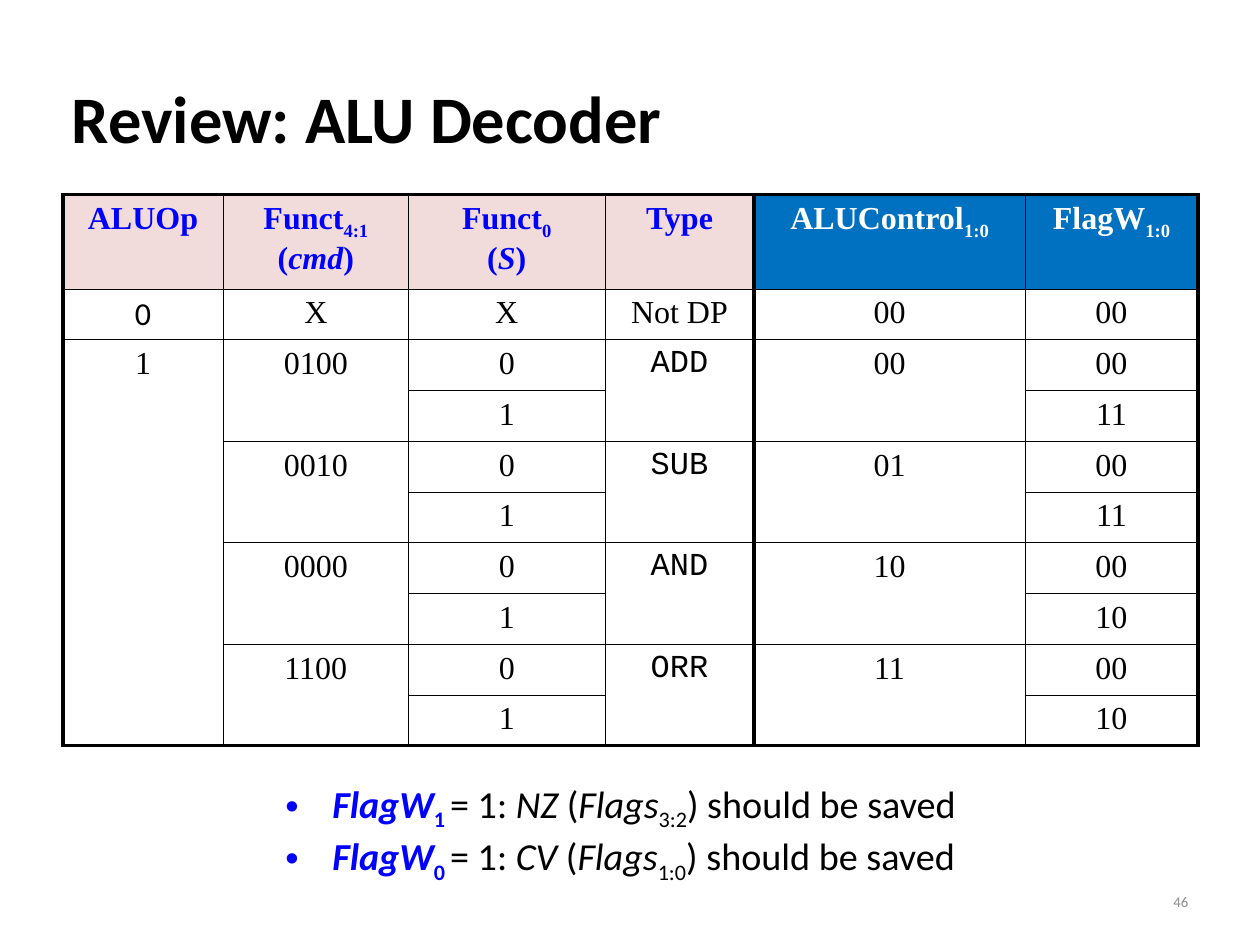
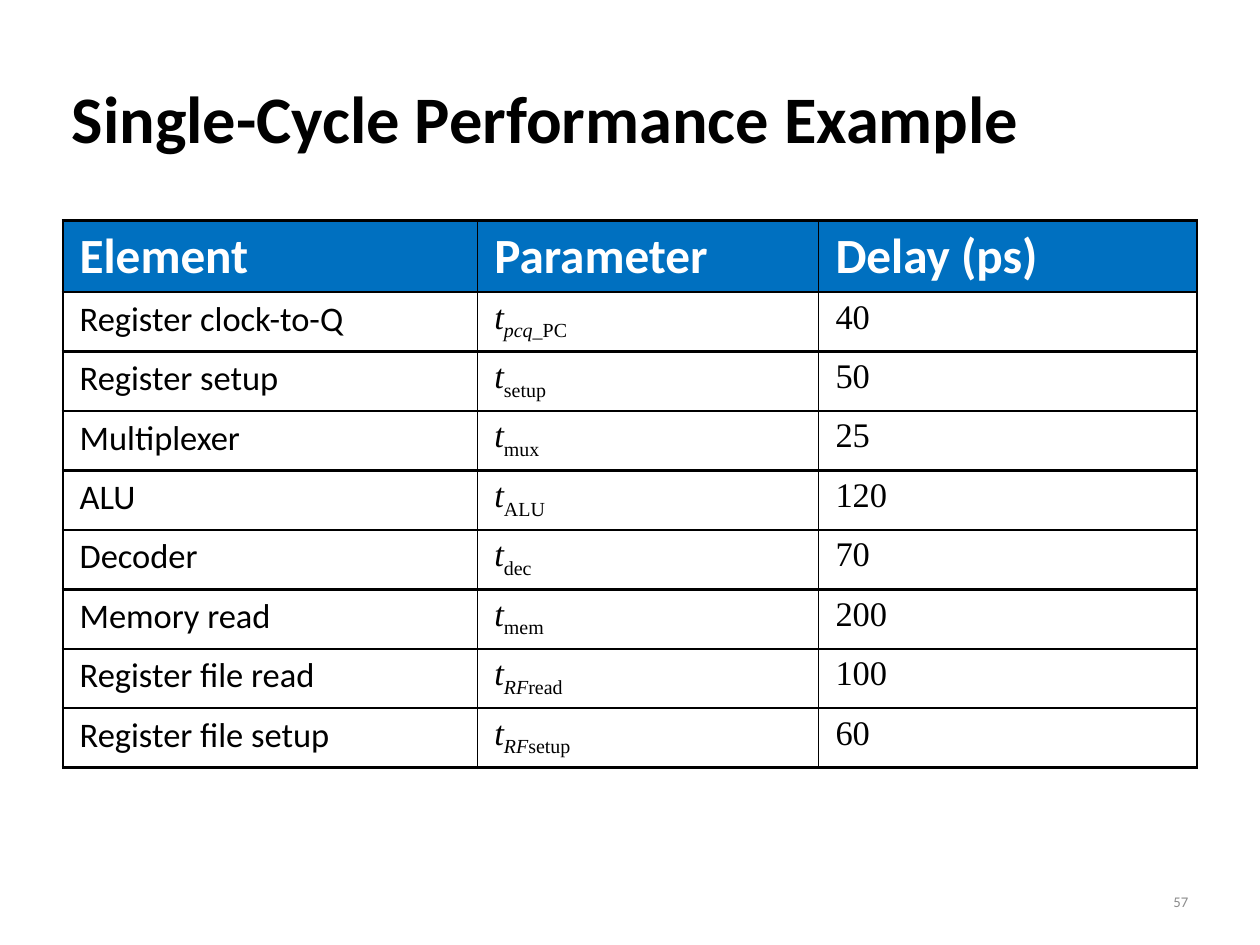
from lxml import etree
from pptx import Presentation
from pptx.dml.color import RGBColor
from pptx.enum.text import MSO_ANCHOR as Anchor, MSO_AUTO_SIZE as AutoSize, PP_ALIGN as Align
from pptx.oxml.ns import qn
from pptx.util import Inches, Pt

WIDTH, HEIGHT = 14.22, 10.67
MARGIN = 0.71
CONTENT_WIDTH = WIDTH - 2 * MARGIN
SANS, SERIF, MONO = "Calibri", "Times New Roman", "Courier New"
BLACK, WHITE, GREY = "000000", "FFFFFF", "8C8C8C"
BLUE, PINK, BAND = "0000FF", "F2DCDB", "0070C0"
NO_GRID_STYLE = "{2D5ABB26-0587-4C30-8999-92F81FD0307C}"

# Text is a string, or a list of spans (text, marks):
# i italic, s subscript, k blue bold, m monospaced, c sans serif.
# A cell with two lines is a tuple of texts; None continues the cell above.


def operation_rows(op, command, name, control, flags):
    """The two rows, S = 0 and S = 1, of one data-processing operation."""
    return [[op, command, "0", [(name, "m")], control, "00"],
            [None, None, "1", None, None, flags]]


DECODER = dict(
    top=2.2, columns=[1.81, 2.09, 2.22, 1.68, 3.06, 1.95], rows=[1] + [0.57] * 9,
    across=[3] + [1] * 9 + [3], down=[3, 1, 1, 1, 3, 1, 3],
    inset=0.16, align=Align.CENTER, size=26, fonts=[SERIF] * 6,
    head_size=26, head_font=SERIF,
    head_colors=[(PINK, BLUE)] * 4 + [(BAND, WHITE)] * 2,
    cells=[
        ["ALUOp",
         ([("Funct", ""), ("4:1", "s")], [("(", ""), ("cmd", "i"), (")", "")]),
         ([("Funct", ""), ("0", "s")], [("(", ""), ("S", "i"), (")", "")]),
         "Type",
         [("ALUControl", ""), ("1:0", "s")],
         [("FlagW", ""), ("1:0", "s")]],
        [[("0", "c")], "X", "X", "Not DP", "00", "00"],
        *operation_rows("1", "0100", "ADD", "00", "11"),
        *operation_rows(None, "0010", "SUB", "01", "11"),
        *operation_rows(None, "0000", "AND", "10", "10"),
        *operation_rows(None, "1100", "ORR", "11", "10"),
    ])

FLAG_NOTES = [
    [("FlagW", "ki"), (f"{bit} ", "ks"), ("= 1: ", ""), (names, "i"), (" (", ""),
     ("Flags", "i"), (span, "s"), (") should be saved", "")]
    for bit, names, span in [(1, "NZ", "3:2"), (0, "CV", "1:0")]]

DELAYS = [
    ("Register clock-to-Q", [("pcq", "is"), ("_PC", "s")], "40"),
    ("Register setup", [("setup", "s")], "50"),
    ("Multiplexer", [("mux", "s")], "25"),
    ("ALU", [("ALU", "s")], "120"),
    ("Decoder", [("dec", "s")], "70"),
    ("Memory read", [("mem", "s")], "200"),
    ("Register file read", [("RF", "is"), ("read", "s")], "100"),
    ("Register file setup", [("RF", "is"), ("setup", "s")], "60"),
]

PERFORMANCE = dict(
    top=2.49, columns=[4.68, 3.85, 4.27], rows=[0.81] + [0.62] * 6 + [0.64] * 2,
    across=[2.25] * 10, down=[2.25, 1, 1, 2.25],
    inset=0.19, align=Align.LEFT, size=28, fonts=[SANS, SERIF, SERIF],
    head_size=40, head_font=SANS, head_colors=[(BAND, WHITE)] * 3,
    cells=[["Element", "Parameter", "Delay (ps)"]]
    + [[element, [("t", "i"), *index], delay] for element, index, delay in DELAYS])


def rgb(color):
    return RGBColor.from_string(color)


def write(para, text, size, font=SANS, color=BLACK, bold=False, align=Align.LEFT):
    para.alignment = align
    for content, marks in [(text, "")] if isinstance(text, str) else text:
        span = para.add_run()
        span.text = content
        span.font.name = MONO if "m" in marks else SANS if "c" in marks else font
        span.font.size = Pt(size)
        span.font.bold = bold or "k" in marks
        span.font.italic = "i" in marks
        span.font.color.rgb = rgb(BLUE if "k" in marks else color)
        if "s" in marks:
            span.font._element.set("baseline", "-25000")


def set_border(cell, side, points):
    line = etree.SubElement(cell._tc.get_or_add_tcPr(), qn(f"a:ln{side}"), w=str(Pt(points)))
    fill = etree.SubElement(line, qn("a:solidFill"))
    etree.SubElement(fill, qn("a:srgbClr"), val=BLACK)


def add_grid(slide, top, columns, rows, across, down, inset, align, size, fonts,
             head_size, head_font, head_colors, cells):
    """Add a table; across and down hold the weight of every grid line."""
    frame = slide.shapes.add_table(len(rows), len(columns), Inches(MARGIN), Inches(top),
                                   Inches(CONTENT_WIDTH), Inches(sum(rows)))
    table = frame.table
    table._tbl.tblPr.find(qn("a:tableStyleId")).text = NO_GRID_STYLE
    for column, width in zip(table.columns, columns):
        column.width = Inches(width)
    for row, height in zip(table.rows, rows):
        row.height = Inches(height)

    for r, texts in enumerate(cells):
        for c, text in enumerate(texts):
            cell = table.cell(r, c)
            end = r + 1
            while text is not None and end < len(cells) and cells[end][c] is None:
                end += 1
            if end > r + 1:
                cell.merge(table.cell(end - 1, c))
            set_border(cell, "L", down[c])
            set_border(cell, "R", down[c + 1])
            if text is None:
                continue
            set_border(cell, "T", across[r])
            set_border(cell, "B", across[end])
            cell.margin_left = cell.margin_right = Inches(inset)
            cell.margin_top = cell.margin_bottom = Inches(0.07)
            if r == 0:
                fill, color = head_colors[c]
                cell.fill.solid()
                cell.fill.fore_color.rgb = rgb(fill)
                style = (head_size, head_font, color, True, align)
            else:
                cell.fill.background()
                style = (size, fonts[c], BLACK, False, align)
            lines = text if isinstance(text, tuple) else (text,)
            for i, line in enumerate(lines):
                body = cell.text_frame
                write(body.add_paragraph() if i else body.paragraphs[0], line, *style)


def add_box(slide, left, top, width, height):
    box = slide.shapes.add_textbox(Inches(left), Inches(top), Inches(width), Inches(height))
    box.text_frame.word_wrap = True
    return box.text_frame


def add_slide(deck, title, number):
    """Add a slide with the shared title and page number."""
    slide = deck.slides.add_slide(deck.slide_layouts[5])
    heading = slide.shapes.title
    heading.left, heading.top = Inches(MARGIN), Inches(0.43)
    heading.width, heading.height = Inches(CONTENT_WIDTH), Inches(1.78)
    heading.text_frame.vertical_anchor = Anchor.MIDDLE
    heading.text_frame.auto_size = AutoSize.NONE
    write(heading.text_frame.paragraphs[0], title, 54, bold=True)

    width = 3.32
    footer = add_box(slide, WIDTH - MARGIN - width, 9.89, width, 0.57)
    footer.vertical_anchor = Anchor.MIDDLE
    write(footer.paragraphs[0], number, 12, color=GREY, align=Align.RIGHT)
    return slide


def add_bullets(slide, items):
    body = add_box(slide, 2.37, 8.74, 9.84, 1.72)
    body.margin_left = body.margin_right = Inches(0.14)
    body.margin_top = body.margin_bottom = Inches(0.07)
    for i, item in enumerate(items):
        para = body.add_paragraph() if i else body.paragraphs[0]
        properties = para._p.get_or_add_pPr()
        properties.set("marL", str(Inches(1.24)))
        properties.set("indent", str(Inches(-0.53)))
        color = etree.SubElement(properties, qn("a:buClr"))
        etree.SubElement(color, qn("a:srgbClr"), val=BLUE)
        etree.SubElement(properties, qn("a:buFont"), typeface="Arial")
        etree.SubElement(properties, qn("a:buChar"), char="•")
        write(para, item, 31)


def main():
    deck = Presentation()
    deck.slide_width, deck.slide_height = Inches(WIDTH), Inches(HEIGHT)

    decoder = add_slide(deck, "Review: ALU Decoder", "46")
    add_grid(decoder, **DECODER)
    add_bullets(decoder, FLAG_NOTES)

    performance = add_slide(deck, "Single-Cycle Performance Example", "57")
    add_grid(performance, **PERFORMANCE)

    deck.save("out.pptx")


if __name__ == "__main__":
    main()
